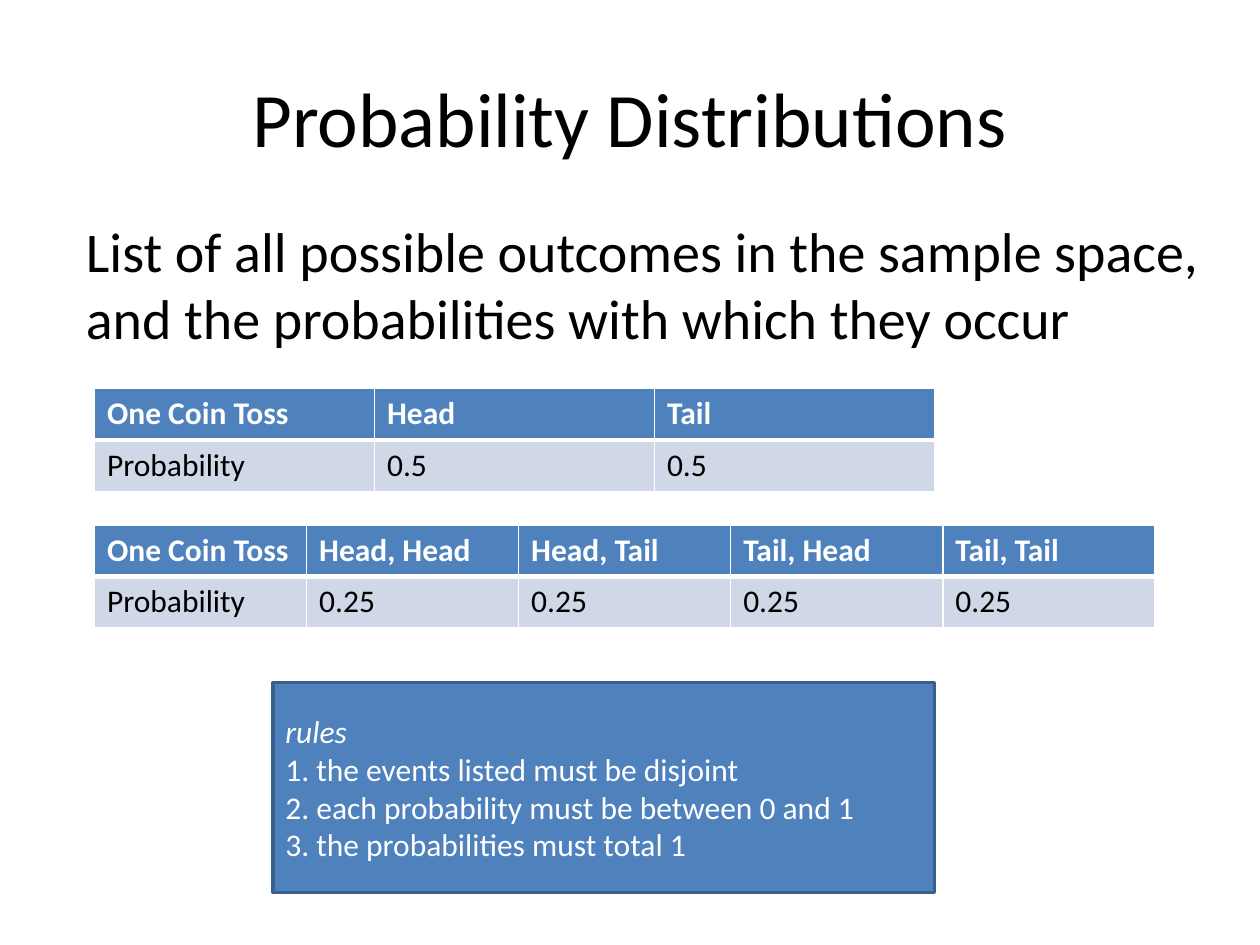
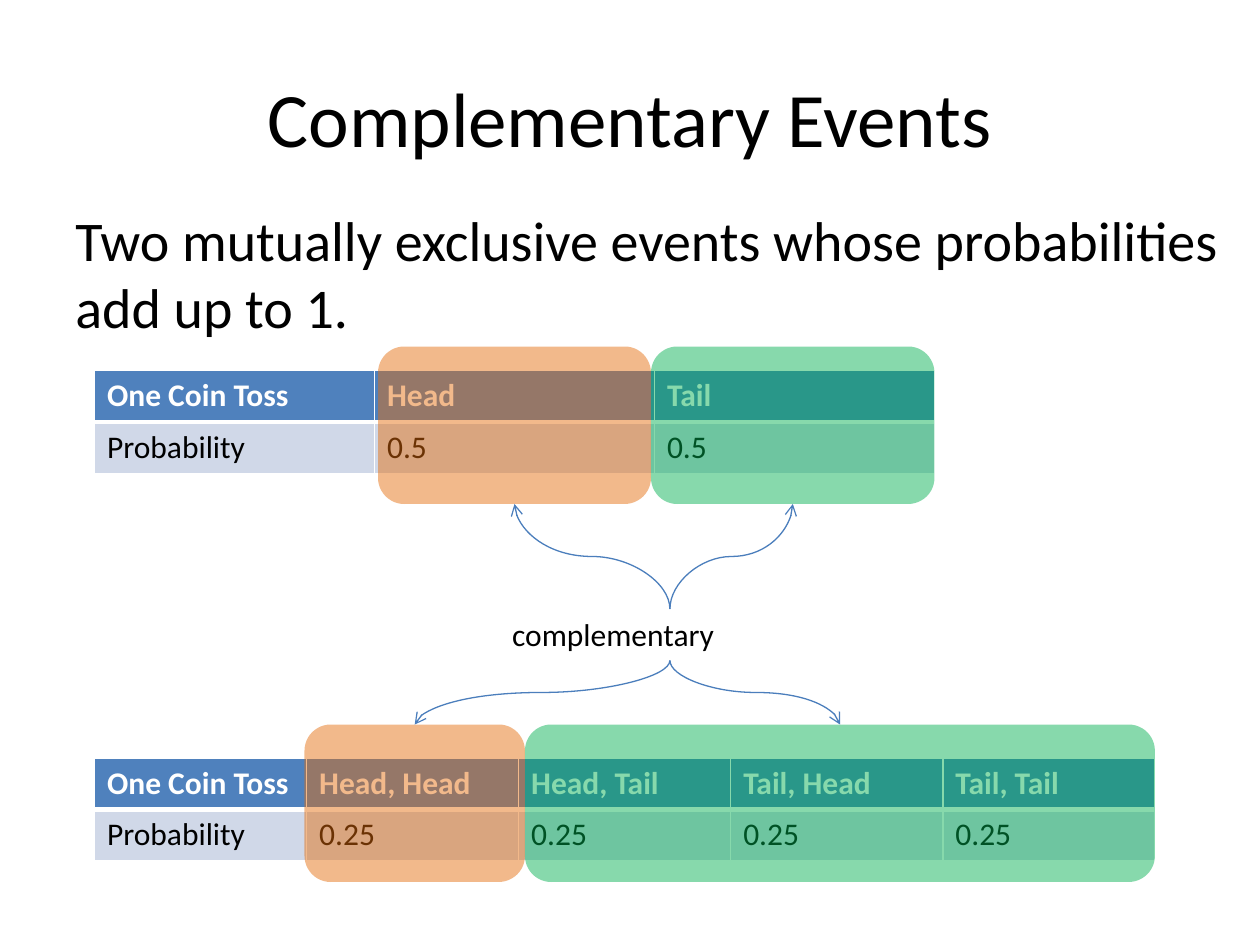
from lxml import etree
from pptx import Presentation
from pptx.dml.color import RGBColor
from pptx.enum.shapes import MSO_CONNECTOR, MSO_SHAPE
from pptx.enum.text import MSO_ANCHOR, PP_ALIGN
from pptx.oxml.ns import qn
from pptx.util import Pt

CURVE = MSO_CONNECTOR.CURVE
RECT, ROUNDED = MSO_SHAPE.RECTANGLE, MSO_SHAPE.ROUNDED_RECTANGLE
TOP, MIDDLE = MSO_ANCHOR.TOP, MSO_ANCHOR.MIDDLE
LEFT, CENTER = PP_ALIGN.LEFT, PP_ALIGN.CENTER

PX = 7620
FONT = "Calibri"
TITLE_ONLY = 5
BLACK = RGBColor(0x00, 0x00, 0x00)
WHITE = RGBColor(0xFF, 0xFF, 0xFF)
BLUE = RGBColor(0x4F, 0x81, 0xBD)
PALE = RGBColor(0xD0, 0xD8, 0xE8)
BOX_EDGE = RGBColor(0x3A, 0x5F, 0x8C)
ARROW = RGBColor(0x4B, 0x7E, 0xBC)
GREEN = RGBColor(0x00, 0xB0, 0x50)
ORANGE = RGBColor(0xE4, 0x6C, 0x0A)

ONE_TOSS = [["One Coin Toss", "Head", "Tail"], ["Probability", "0.5", "0.5"]]
TWO_TOSSES = [
    ["One Coin Toss", "Head, Head", "Head, Tail", "Tail, Head", "Tail, Tail"],
    ["Probability", "0.25", "0.25", "0.25", "0.25"],
]
RULES = [
    "rules",
    "1. the events listed must be disjoint",
    "2. each probability must be between 0 and 1",
    "3. the probabilities must total 1",
]
SLIDES = [
    {
        "title": "Probability Distributions",
        "body": ["List of all possible outcomes in the sample space,",
                 "and the probabilities with which they occur"],
        "body_box": (70, 200, 1100, 141),
        "table_tops": (370, 500),
    },
    {
        "title": "Complementary Events",
        "body": ["Two mutually exclusive events whose probabilities add up to 1."],
        "body_box": (60, 190, 1140, 141),
        "table_tops": (353, 722),
    },
]
TITLE_BOX = (60, 36, 1080, 150)
TABLE_LEFT, ROW_H = 90, 49
TABLES = [(ONE_TOSS, 800), (TWO_TOSSES, 1010)]
RULES_BOX = (260, 650, 630, 200)

HIGHLIGHT_H, OPACITY = 150, 47
HIGHLIGHTS = [
    {"box": (620, 330, 270), "color": GREEN, "turn": 90, "flips": ("flipH", "flipV")},
    {"box": (360, 330, 260), "color": ORANGE, "turn": 270, "flips": ("flipV",)},
    {"box": (500, 690, 600), "color": GREEN, "turn": 270, "flips": ("flipH",)},
    {"box": (290, 690, 210), "color": ORANGE, "turn": 90, "flips": ()},
]
LABEL = "complementary"
LABEL_BOX = (476, 580, 324, 49)


def emu(*lengths):
    return [round(v * PX) for v in lengths]


def write(tf, lines, size, color=BLACK, align=LEFT, anchor=TOP, bold=False, italic_first=False):
    tf.word_wrap = True
    tf.vertical_anchor = anchor
    for i, line in enumerate(lines):
        p = tf.add_paragraph() if i else tf.paragraphs[0]
        p.alignment = align
        r = p.add_run()
        r.text = line
        r.font.name = FONT
        r.font.size = Pt(size)
        r.font.bold = bold
        r.font.italic = italic_first and i == 0
        r.font.color.rgb = color


def add_text(s, lines, box, size):
    write(s.shapes.add_textbox(*emu(*box)).text_frame, lines, size)


def add_border(cell, side, points):
    tc_pr = cell._tc.get_or_add_tcPr()
    ln = etree.SubElement(tc_pr, qn("a:ln" + side), w=str(Pt(points)))
    fill = etree.SubElement(ln, qn("a:solidFill"))
    etree.SubElement(fill, qn("a:srgbClr"), val=str(WHITE))


def add_table(s, rows, top, width):
    n = len(rows[0])
    frame = s.shapes.add_table(len(rows), n, *emu(TABLE_LEFT, top, width, ROW_H * len(rows)))
    for i, row in enumerate(rows):
        header = i == 0
        for j, value in enumerate(row):
            cell = frame.table.cell(i, j)
            for side, points in zip("LRTB", (1, 1, 1, 3) if header else (1, 1, 3, 1)):
                add_border(cell, side, points)
            cell.fill.solid()
            cell.fill.fore_color.rgb = BLUE if header else PALE
            write(cell.text_frame, [value], 18, WHITE if header else BLACK, bold=header)


def add_shape(s, kind, box, color):
    sp = s.shapes.add_shape(kind, *emu(*box))
    sp.shadow.inherit = False
    sp.fill.solid()
    sp.fill.fore_color.rgb = color
    return sp


def add_rules(s):
    sp = add_shape(s, RECT, RULES_BOX, BLUE)
    sp.line.color.rgb = BOX_EDGE
    sp.line.width = Pt(2)
    write(sp.text_frame, RULES, 18, WHITE, anchor=MIDDLE, italic_first=True)


def add_highlight(s, box, color):
    sp = add_shape(s, ROUNDED, (*box, HIGHLIGHT_H), color)
    sp.line.fill.background()
    clr = sp.element.spPr.find(qn("a:solidFill")).find(qn("a:srgbClr"))
    etree.SubElement(clr, qn("a:alpha"), val=str(OPACITY * 1000))


def add_curve(s, start, end, turn, flips):
    cx, cy = [(a + b) / 2 for a, b in zip(start, end)]
    across, along = [abs(a - b) / 2 for a, b in zip(start, end)]
    c = s.shapes.add_connector(CURVE, *emu(cx - along, cy - across, cx + along, cy + across))
    c.line.color.rgb = ARROW
    c.line.width = Pt(0.75)
    sp_pr = c.element.spPr
    xfrm = sp_pr.find(qn("a:xfrm"))
    xfrm.set("rot", str(turn * 60000))
    for flip in flips:
        xfrm.set(flip, "1")
    etree.SubElement(sp_pr.find(qn("a:ln")), qn("a:tailEnd"), type="arrow")
    etree.SubElement(sp_pr, qn("a:effectLst"))


def add_complements(s):
    for h in HIGHLIGHTS:
        add_highlight(s, h["box"], h["color"])
    add_text(s, [LABEL], LABEL_BOX, 18)
    left, label_top, width, height = LABEL_BOX
    for h in HIGHLIGHTS:
        x, y, w = h["box"]
        above = y < label_top
        start = (left + width / 2, label_top if above else label_top + height)
        end = (x + w / 2, y + HIGHLIGHT_H if above else y)
        add_curve(s, start, end, h["turn"], h["flips"])


def add_slide(prs, content):
    s = prs.slides.add_slide(prs.slide_layouts[TITLE_ONLY])
    title = s.shapes.title
    title.left, title.top, title.width, title.height = emu(*TITLE_BOX)
    write(title.text_frame, [content["title"]], 44, align=CENTER, anchor=MIDDLE)
    add_text(s, content["body"], content["body_box"], 32)
    for (rows, width), top in zip(TABLES, content["table_tops"]):
        add_table(s, rows, top, width)
    return s


def main():
    prs = Presentation()
    prs.slide_width, prs.slide_height = emu(1200, 900)
    distributions, complements = [add_slide(prs, content) for content in SLIDES]
    add_rules(distributions)
    add_complements(complements)
    prs.save("out.pptx")


if __name__ == "__main__":
    main()
